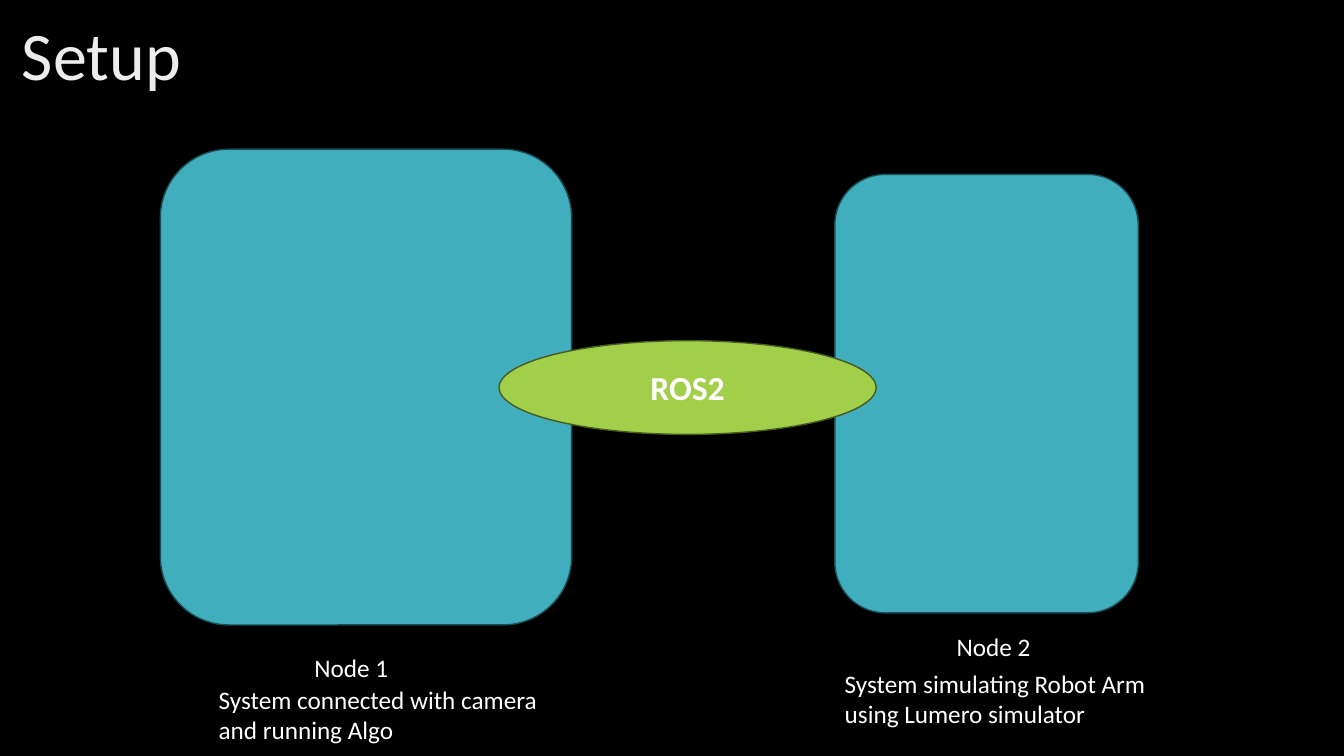
from pptx import Presentation
from pptx.dml.color import RGBColor
from pptx.enum.shapes import MSO_SHAPE
from pptx.enum.text import MSO_ANCHOR, PP_ALIGN
from pptx.util import Inches, Pt

ROUNDED, ELLIPSE = MSO_SHAPE.ROUNDED_RECTANGLE, MSO_SHAPE.OVAL
TOP, MIDDLE = MSO_ANCHOR.TOP, MSO_ANCHOR.MIDDLE
LEFT, CENTER = PP_ALIGN.LEFT, PP_ALIGN.CENTER

THEME = {
    "font": "Calibri",
    "background": "000000",
    "node": ("41AEBD", "1C4C53"),
    "link": ("A2CF49", "475B20"),
    "title": {"size": 48.6, "color": "EDEDED"},
    "label": {"size": 18, "color": "FFFFFF"},
    "link_text": {"size": 24, "color": "FFFFFF", "bold": True},
}

TITLE = ("Setup", (0.12, 0.2, 11.73, 0.75))
NODES = [
    {
        "box": (1.59, 1.48, 4.08, 4.72),
        "name": ("Node 1", (3.02, 6.42)),
        "role": ("System connected with camera and running Algo", (2.07, 6.74)),
    },
    {
        "box": (8.28, 1.73, 3.01, 4.35),
        "name": ("Node 2", (9.39, 6.21)),
        "role": ("System simulating Robot Arm using Lumero simulator", (8.28, 6.58)),
    },
]
LINK = ("ROS2", (4.95, 3.38, 3.74, 0.93))
LABEL_SIZES = {"name": (2.32, 0.4), "role": (3.74, 0.71)}


def write(shape, text, style, anchor=TOP, align=LEFT, spacing=1.0):
    frame = shape.text_frame
    frame.word_wrap = True
    frame.vertical_anchor = anchor
    para = frame.paragraphs[0]
    para.alignment = align
    para.line_spacing = spacing
    span = para.add_run()
    span.text = text
    values = {"name": THEME["font"], "size": Pt(style["size"]), "bold": style.get("bold", False)}
    for key, value in values.items():
        setattr(span.font, key, value)
    span.font.color.rgb = RGBColor.from_string(style["color"])


def add_text(page, text, box, style, **layout):
    write(page.shapes.add_textbox(*map(Inches, box)), text, style, **layout)


def add_figure(page, kind, box, colors):
    shape = page.shapes.add_shape(kind, *map(Inches, box))
    shape.shadow.inherit = False
    fill, line = map(RGBColor.from_string, colors)
    shape.fill.solid()
    shape.fill.fore_color.rgb = fill
    shape.line.color.rgb = line
    shape.line.width = Pt(1)
    return shape


def main():
    deck = Presentation()
    deck.slide_width, deck.slide_height = Inches(13.33), Inches(7.5)
    page = deck.slides.add_slide(deck.slide_layouts[6])
    page.background.fill.solid()
    page.background.fill.fore_color.rgb = RGBColor.from_string(THEME["background"])

    add_text(page, *TITLE, THEME["title"], anchor=MIDDLE, spacing=0.9)
    for node in NODES:
        add_figure(page, ROUNDED, node["box"], THEME["node"])

    link_text, link_box = LINK
    link = add_figure(page, ELLIPSE, link_box, THEME["link"])
    write(link, link_text, THEME["link_text"], anchor=MIDDLE, align=CENTER)

    for part, size in LABEL_SIZES.items():
        for node in NODES:
            text, corner = node[part]
            add_text(page, text, corner + size, THEME["label"])

    deck.save("out.pptx")


if __name__ == "__main__":
    main()
